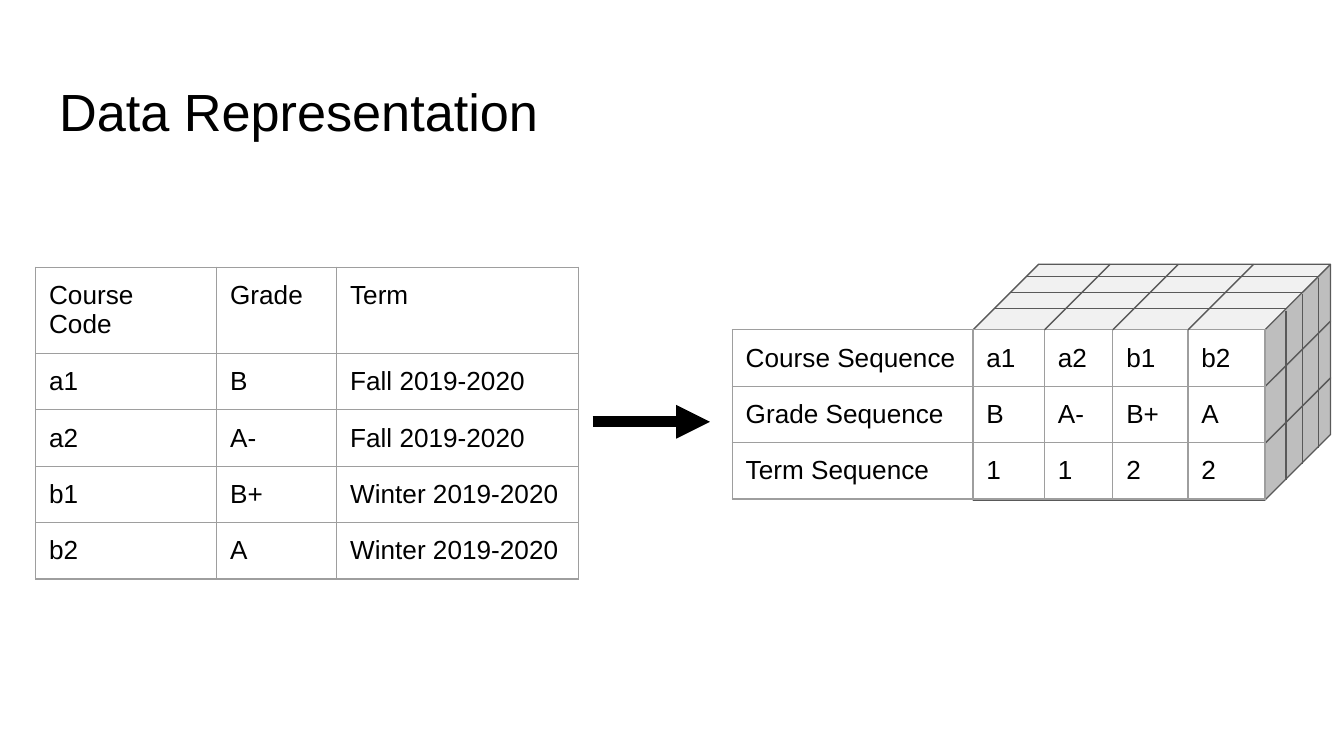
import pptx
import pptx.dml.color
import pptx.enum.shapes
import pptx.enum.text
import pptx.oxml
import pptx.oxml.ns
import pptx.util

Pt = pptx.util.Pt
FONT = "Arial"
INSET = 7.2
BLACK, WHITE = "000000", "FFFFFF"
BORDER, EDGE, CUBE_FILL = "9E9E9E", "595959", "EEEEEE"

COURSES = [
    ["Course Code", "Grade", "Term"],
    ["a1", "B", "Fall 2019-2020"],
    ["a2", "A-", "Fall 2019-2020"],
    ["b1", "B+", "Winter 2019-2020"],
    ["b2", "A", "Winter 2019-2020"],
]
SEQUENCES = [
    ["Course Sequence", "a1", "a2", "b1", "b2"],
    ["Grade Sequence", "B", "A-", "B+", "A"],
    ["Term Sequence", "1", "1", "2", "2"],
]


def color(value):
    return pptx.dml.color.RGBColor.from_string(value)


def set_insets(target):
    target.margin_left = target.margin_right = Pt(INSET)
    target.margin_top = target.margin_bottom = Pt(INSET)


def format_text(text_frame, size):
    for paragraph in text_frame.paragraphs:
        paragraph.alignment = pptx.enum.text.PP_ALIGN.LEFT
        for run in paragraph.runs:
            run.font.name = FONT
            run.font.size = Pt(size)
            run.font.bold = False
            run.font.color.rgb = color(BLACK)


def set_cell_borders(cell):
    properties = cell._tc.get_or_add_tcPr()
    for index, side in enumerate(("lnL", "lnR", "lnT", "lnB")):
        properties.insert(index, pptx.oxml.parse_xml(
            f'<a:{side} {pptx.oxml.ns.nsdecls("a")} w="{Pt(0.75)}">'
            f'<a:solidFill><a:srgbClr val="{BORDER}"/></a:solidFill></a:{side}>'))


def add_title(slide, left, top, width, height):
    title = slide.shapes.title
    title.left, title.top = Pt(left), Pt(top)
    title.width, title.height = Pt(width), Pt(height)
    text_frame = title.text_frame
    text_frame.text = "Data Representation"
    text_frame.vertical_anchor = pptx.enum.text.MSO_ANCHOR.TOP
    text_frame.auto_size = pptx.enum.text.MSO_AUTO_SIZE.NONE
    set_insets(text_frame)
    format_text(text_frame, 28)


def add_grid(slide, left, top, widths, heights, rows):
    table = slide.shapes.add_table(
        len(rows), len(widths), Pt(left), Pt(top),
        Pt(sum(widths)), Pt(sum(heights))).table
    table.first_row = table.horz_banding = False
    for column, width in zip(table.columns, widths):
        column.width = Pt(width)
    for row, height, texts in zip(table.rows, heights, rows):
        row.height = Pt(height)
        for cell, text in zip(row.cells, texts):
            cell.text = text
            set_insets(cell)
            format_text(cell.text_frame, 14)
            cell.fill.solid()
            cell.fill.fore_color.rgb = color(WHITE)
            set_cell_borders(cell)


def add_line(slide, x1, y1, x2, y2, line_color=EDGE, width=0.75, arrow=False):
    connector = slide.shapes.add_connector(
        pptx.enum.shapes.MSO_CONNECTOR.STRAIGHT, Pt(x1), Pt(y1), Pt(x2), Pt(y2))
    connector.line.color.rgb = color(line_color)
    connector.line.width = Pt(width)
    if arrow:
        connector.line._get_or_add_ln().append(pptx.oxml.parse_xml(
            f'<a:tailEnd {pptx.oxml.ns.nsdecls("a")} type="triangle"/>'))
    connector._element.spPr.append(pptx.oxml.parse_xml(
        f'<a:effectLst {pptx.oxml.ns.nsdecls("a")}/>'))


def add_cube_layers(slide, left, top, width, height, depth, step):
    """Stack three slabs, lowest first."""
    for layer in (2, 1, 0):
        cube = slide.shapes.add_shape(
            pptx.enum.shapes.MSO_SHAPE.CUBE, Pt(left), Pt(top + layer * step),
            Pt(width), Pt(height))
        cube.adjustments[0] = depth / height
        cube.shadow.inherit = False
        cube.fill.solid()
        cube.fill.fore_color.rgb = color(CUBE_FILL)
        cube.line.color.rgb = color(EDGE)
        cube.line.width = Pt(0.75)


def add_cube_seams(slide, left, top, width, depth, side_height, column_widths):
    front_top = top + depth
    # Column seams running back across the top face
    x = left
    for column_width in column_widths[:-1]:
        x += column_width
        add_line(slide, x, front_top, x + depth, top)
    # Depth seams across the top face and down the side face
    front_width = width - depth
    for offset in (11.3, 20, 28.6):
        y = front_top - offset
        right = left + front_width + offset
        add_line(slide, left + offset, y, right, y)
        add_line(slide, right, y + 1, right, y + 1 + side_height)


def add_sequence_cube(slide, left, top):
    label_width, value_widths = 129, [38.3, 36.6, 40.3, 41.3]
    cube_left, cube_width, depth = left + label_width, 191.5, 35.1
    cube_top = top - depth
    add_cube_layers(slide, cube_left, cube_top, cube_width, 65.5, depth, 30.4)
    add_grid(slide, left, top, [label_width] + value_widths, [30.2] * 3, SEQUENCES)
    add_cube_seams(slide, cube_left, cube_top, cube_width, depth, 91, value_widths)


def main():
    presentation = pptx.Presentation()
    presentation.slide_width, presentation.slide_height = Pt(720), Pt(405)
    slide = presentation.slides.add_slide(presentation.slide_layouts[5])
    add_title(slide, 24.5, 35, 671, 45)
    add_grid(slide, 19.1, 143.2, [97, 64.3, 129.6], [46.2] + [30.2] * 4, COURSES)
    add_sequence_cube(slide, 392.3, 176.7)
    # Arrow from the records to the cube
    add_line(slide, 317.5, 226, 380.3, 226, BLACK, 6, arrow=True)
    presentation.save("out.pptx")


if __name__ == "__main__":
    main()
